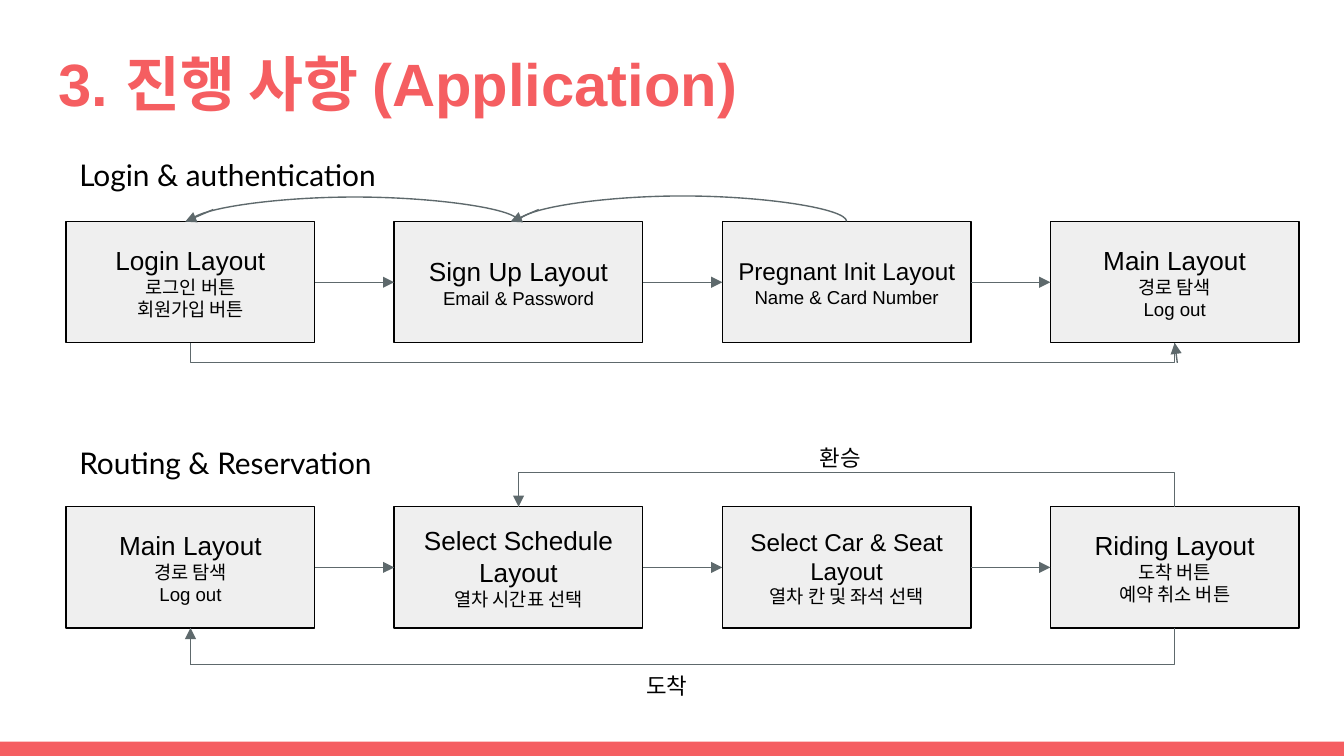
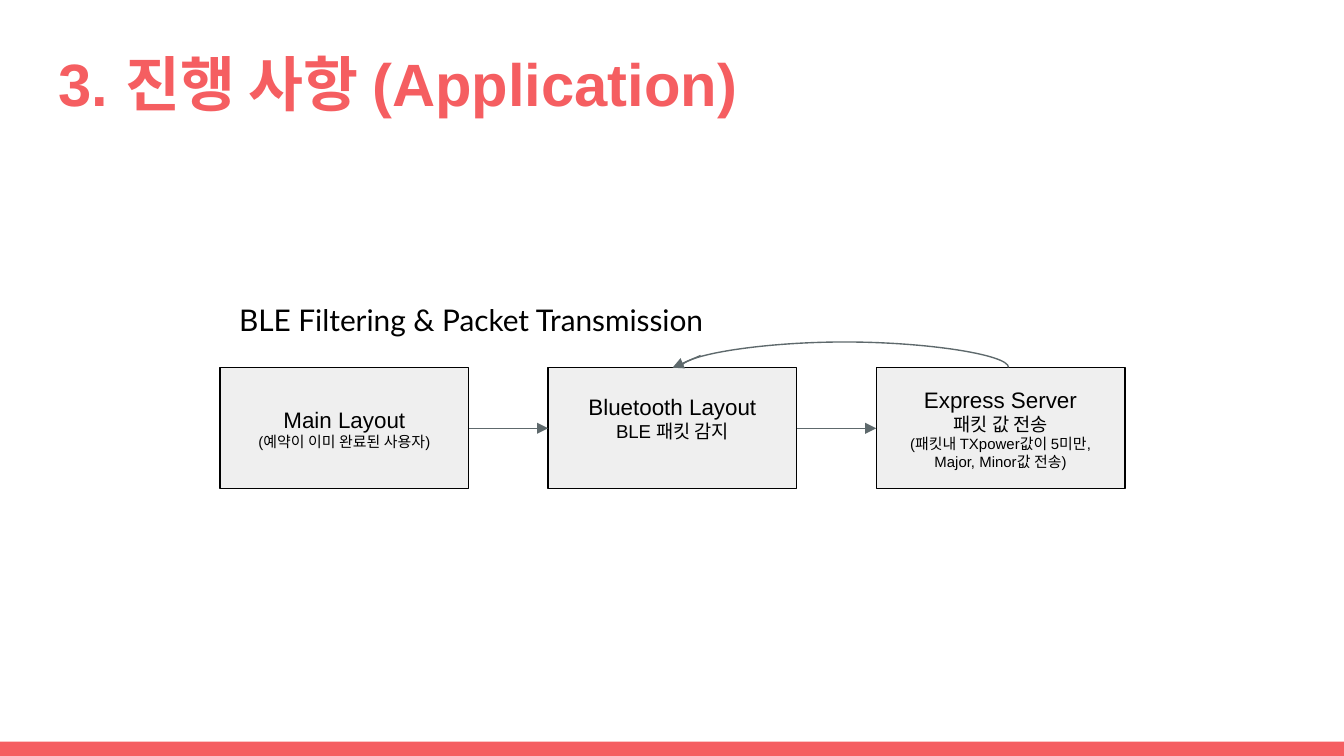
from dataclasses import dataclass

from lxml.etree import SubElement
from pptx import Presentation
from pptx.dml.color import RGBColor
from pptx.enum.shapes import MSO_CONNECTOR, MSO_SHAPE
from pptx.enum.text import MSO_ANCHOR, PP_ALIGN
from pptx.oxml.ns import qn
from pptx.util import Cm, Pt


@dataclass(frozen=True)
class Theme:
    accent: str = "F55E61"
    ink: str = "000000"
    panel: str = "EFEFEF"
    arrow: str = "5E696C"
    paper: str = "FFFFFF"
    body_font: str = "Arial"
    heading_font: str = "Lato"
    title_size: int = 32
    heading_size: int = 16
    label_size: int = 12
    line_width: float = 0.75


THEME = Theme()
TITLE_FORMAT = {"name": THEME.body_font, "size": Pt(THEME.title_size), "bold": True}
HEADING_FORMAT = {"name": THEME.heading_font, "size": Pt(THEME.heading_size)}
LABEL_FORMAT = {"name": THEME.heading_font, "size": Pt(THEME.label_size)}

PAGE_WIDTH, PAGE_HEIGHT = 25.4, 14.29
BAND_HEIGHT = 0.27
BOX_WIDTH, BOX_HEIGHT, BOX_PITCH = 4.7, 2.29, 6.2
LINE_HEIGHT = 0.89
INSET = 0.25
LOOP_BASE = 0.01

TITLE = "3. 진행 사항 (Application)"
MAIN_LAYOUT = [("Main Layout", 14), ("경로 탐색", 10), ("Log out", 10)]

# fmt: off
PAGES = [
    [
        {
            "heading": ("Login & authentication", 1.25, 2.72, 8.61),
            "left": 1.25,
            "top": 4.19,
            "boxes": [
                [("Login Layout", 14), ("로그인 버튼", 10), ("회원가입 버튼", 10)],
                [("Sign Up Layout", 14), ("Email & Password", 10)],
                [("Pregnant Init Layout", 13), ("Name & Card Number", 10)],
                MAIN_LAYOUT,
            ],
            "loops": [
                {"kind": "ELBOW", "start": 0, "end": 3, "depth": 0.38,
                 "tail": (0.05, 0.38), "tip": 0},
                {"kind": "CURVE", "start": 1, "end": 0, "depth": -0.46,
                 "tail": (0.43, -0.23), "tip": -0.1},
                {"kind": "CURVE", "start": 2, "end": 1, "depth": -0.48,
                 "tail": (0.38, -0.23), "tip": -0.15},
            ],
        },
        {
            "heading": ("Routing & Reservation", 1.25, 8.15, 8.61),
            "left": 1.25,
            "top": 9.58,
            "boxes": [
                MAIN_LAYOUT,
                [("Select Schedule Layout", 14), ("열차 시간표 선택", 10)],
                [("Select Car & Seat", 13), ("Layout", 13), ("열차 칸 및 좌석 선택", 10)],
                [("Riding Layout", 14), ("도착 버튼", 10), ("예약 취소 버튼", 10)],
            ],
            "loops": [
                {"kind": "ELBOW", "start": 3, "end": 1, "depth": -0.64,
                 "tail": (0, -0.46), "tip": 0},
                {"kind": "ELBOW", "start": 3, "end": 0, "depth": 0.7,
                 "tail": (0, 0.7), "tip": 0},
            ],
            "labels": [("환승", 15.24, 8.15, 1.5), ("도착", 11.96, 12.45, 1.5)],
        },
    ],
    [
        {
            "heading": ("BLE Filtering & Packet Transmission", 4.27, 5.46, 10.03),
            "left": 4.16,
            "top": 6.95,
            "boxes": [
                [("Main Layout", 12), ("(예약이 이미 완료된 사용자)", 8)],
                [("Bluetooth Layout", 12), ("BLE 패킷 감지", 10)],
                [("Express Server", 12), ("패킷 값 전송", 10),
                 ("(패킷내 TXpower값이 5미만,", 8), ("Major, Minor값 전송)", 8)],
            ],
            "raised": {1: 0.41},
            "loops": [
                {"kind": "CURVE", "start": 2, "end": 1, "depth": -0.48,
                 "tail": (0.38, -0.23), "tip": -0.15, "shift": 0.15},
            ],
        },
    ],
]
# fmt: on


def color(value):
    return RGBColor.from_string(value)


def write(para, text, formats, ink=THEME.ink):
    span = para.add_run()
    span.text = text
    for name, value in formats.items():
        setattr(span.font, name, value)
    span.font.color.rgb = color(ink)


def set_frame(frame, bottom=INSET, anchor=MSO_ANCHOR.TOP):
    formats = {
        "word_wrap": True,
        "vertical_anchor": anchor,
        "margin_left": Cm(INSET),
        "margin_right": Cm(INSET),
        "margin_top": Cm(INSET),
        "margin_bottom": Cm(bottom),
    }
    for name, value in formats.items():
        setattr(frame, name, value)


def add_text(page, text, left, top, width, formats, height=LINE_HEIGHT, ink=THEME.ink):
    frame = page.shapes.add_textbox(Cm(left), Cm(top), Cm(width), Cm(height)).text_frame
    set_frame(frame)
    write(frame.paragraphs[0], text, formats, ink)


def add_rectangle(page, left, top, width, height, fill):
    shape = page.shapes.add_shape(
        MSO_SHAPE.RECTANGLE, Cm(left), Cm(top), Cm(width), Cm(height)
    )
    shape.shadow.inherit = False
    shape.fill.solid()
    shape.fill.fore_color.rgb = color(fill)
    return shape


def add_box(page, left, top, lines, raised):
    box = add_rectangle(page, left, top, BOX_WIDTH, BOX_HEIGHT, THEME.panel)
    box.line.color.rgb = color(THEME.ink)
    box.line.width = Pt(THEME.line_width)
    frame = box.text_frame
    set_frame(frame, INSET + raised, MSO_ANCHOR.MIDDLE)
    for index, (text, size) in enumerate(lines):
        para = frame.paragraphs[0] if index == 0 else frame.add_paragraph()
        para.alignment = PP_ALIGN.CENTER
        write(para, text, {"name": THEME.body_font, "size": Pt(size)})


def add_line(page, start, end, kind=MSO_CONNECTOR.STRAIGHT, arrow=True):
    line = page.shapes.add_connector(kind, *map(Cm, (*start, *end)))
    line.line.color.rgb = color(THEME.arrow)
    line.line.width = Pt(THEME.line_width)
    properties = line._element.spPr
    if arrow:
        SubElement(properties.find(qn("a:ln")), qn("a:tailEnd"), type="triangle")
    SubElement(properties, qn("a:effectLst"))
    return line


def add_loop(page, start_x, end_x, level, kind, depth):
    middle, span = (start_x + end_x) / 2, abs(end_x - start_x)
    loop = add_line(
        page,
        (middle - LOOP_BASE / 2, level - span / 2),
        (middle + LOOP_BASE / 2, level + span / 2),
        kind,
        arrow=False,
    )
    properties = loop._element.spPr
    frame = properties.find(qn("a:xfrm"))
    if end_x > start_x:
        frame.set("rot", str(270 * 60000))
        frame.set("flipH", "1")
    else:
        frame.set("rot", str(90 * 60000))
    guides = properties.find(qn("a:prstGeom")).find(qn("a:avLst"))
    bend = round(depth / LOOP_BASE * 100000)
    SubElement(guides, qn("a:gd"), name="adj1", fmla=f"val {bend}")


def add_flow(page, flow):
    add_text(page, *flow["heading"], HEADING_FORMAT)
    top = flow["top"]
    lefts = [flow["left"] + BOX_PITCH * index for index in range(len(flow["boxes"]))]
    for index, (left, lines) in enumerate(zip(lefts, flow["boxes"])):
        add_box(page, left, top, lines, flow.get("raised", {}).get(index, 0))
    middle = top + BOX_HEIGHT / 2
    for left, following in zip(lefts, lefts[1:]):
        add_line(page, (left + BOX_WIDTH, middle), (following, middle))
    for loop in flow["loops"]:
        shift = BOX_WIDTH / 2 + loop.get("shift", 0)
        start_x, end_x = lefts[loop["start"]] + shift, lefts[loop["end"]] + shift
        level = top + BOX_HEIGHT if loop["depth"] > 0 else top
        kind = MSO_CONNECTOR[loop["kind"]]
        add_loop(page, start_x, end_x, level, kind, loop["depth"])
        across, down = loop["tail"]
        add_line(page, (end_x + across, level + down), (end_x + loop["tip"], level))
    for label in flow.get("labels", []):
        add_text(page, *label, LABEL_FORMAT)


def add_page(deck, flows):
    page = deck.slides.add_slide(deck.slide_layouts[6])
    page.background.fill.solid()
    page.background.fill.fore_color.rgb = color(THEME.paper)
    band = add_rectangle(
        page, 0, PAGE_HEIGHT - BAND_HEIGHT, PAGE_WIDTH, BAND_HEIGHT, THEME.accent
    )
    band.line.fill.background()
    add_text(page, TITLE, 0.86, 0.64, 23.67, TITLE_FORMAT, 1.73, THEME.accent)
    for flow in flows:
        add_flow(page, flow)


def main():
    deck = Presentation()
    deck.slide_width, deck.slide_height = Cm(PAGE_WIDTH), Cm(PAGE_HEIGHT)
    for flows in PAGES:
        add_page(deck, flows)
    deck.save("out.pptx")


if __name__ == "__main__":
    main()
